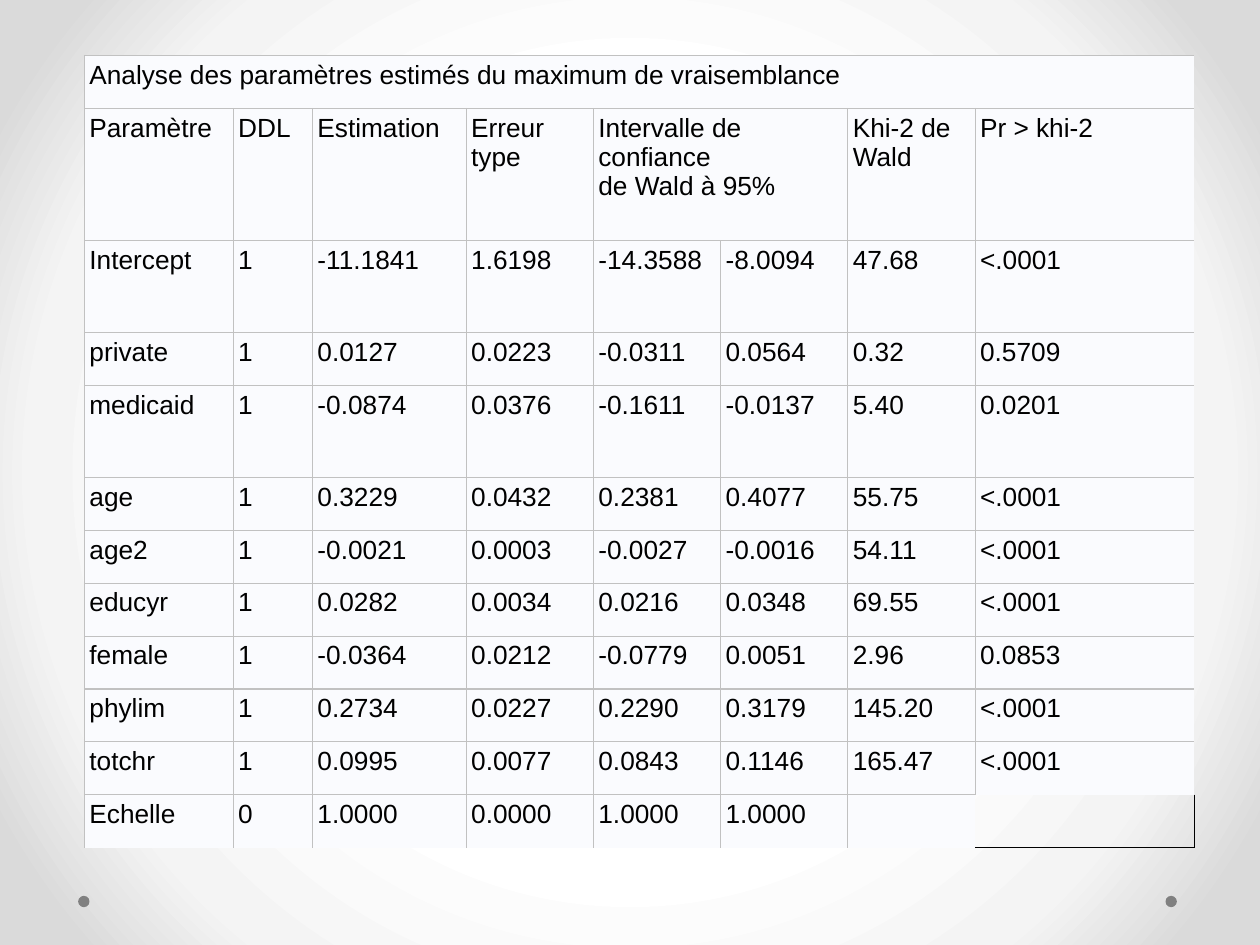
from lxml.etree import SubElement
from pptx import Presentation
from pptx.dml.color import RGBColor
from pptx.enum.shapes import MSO_SHAPE
from pptx.oxml import parse_xml
from pptx.oxml.ns import nsdecls, qn
from pptx.util import Inches, Pt

BLACK = RGBColor(0x00, 0x00, 0x00)
GRAY = RGBColor(0x80, 0x80, 0x80)
RULE = RGBColor(0xC1, 0xC1, 0xC1)
PALE = RGBColor(0xFA, 0xFB, 0xFE)
GLOW = (
    (50, RGBColor(0xFF, 0xFF, 0xFF)),
    (76, RGBColor(0xF4, 0xF4, 0xF4)),
    (92, RGBColor(0xDA, 0xDA, 0xDA)),
)

WIDTHS = (1.18, 0.63, 1.22, 1.01, 1.01, 1.01, 1.01, 1.74)
SHORT, MEDIUM, TALL = 0.42, 0.73, 1.05
HEIGHTS = (SHORT, TALL, MEDIUM, SHORT, MEDIUM) + (SHORT,) * 7
SPANS = {(0, 0): 8, (1, 4): 2}
ROWS = (
    ("Analyse des paramètres estimés du maximum de vraisemblance",) + ("",) * 7,
    ("Paramètre", "DDL", "Estimation", "Erreur\ntype",
     "Intervalle de confiance\nde Wald à 95%", "", "Khi-2 de Wald", "Pr > khi-2"),
    ("Intercept", "1", "-11.1841", "1.6198", "-14.3588", "-8.0094", "47.68", "<.0001"),
    ("private", "1", "0.0127", "0.0223", "-0.0311", "0.0564", "0.32", "0.5709"),
    ("medicaid", "1", "-0.0874", "0.0376", "-0.1611", "-0.0137", "5.40", "0.0201"),
    ("age", "1", "0.3229", "0.0432", "0.2381", "0.4077", "55.75", "<.0001"),
    ("age2", "1", "-0.0021", "0.0003", "-0.0027", "-0.0016", "54.11", "<.0001"),
    ("educyr", "1", "0.0282", "0.0034", "0.0216", "0.0348", "69.55", "<.0001"),
    ("female", "1", "-0.0364", "0.0212", "-0.0779", "0.0051", "2.96", "0.0853"),
    ("phylim", "1", "0.2734", "0.0227", "0.2290", "0.3179", "145.20", "<.0001"),
    ("totchr", "1", "0.0995", "0.0077", "0.0843", "0.1146", "165.47", "<.0001"),
    ("Echelle", "0", "1.0000", "0.0000", "1.0000", "1.0000", "", ""),
)


class SlideBuilder:
    """Holds the text style and the current slide, and adds each kind of element."""

    font_format = {"name": "Arial", "size": Pt(15)}
    margin_format = dict.fromkeys(
        ("margin_left", "margin_top", "margin_right", "margin_bottom"), Inches(0.04))

    def __init__(self, deck):
        self.page = deck.slides.add_slide(deck.slide_layouts[6])

    def background(self, stops):
        stop_xml = "".join(
            f'<a:gs pos="{place * 1000}"><a:srgbClr val="{color}"/></a:gs>'
            for place, color in stops)
        self.page.element.cSld.insert(0, parse_xml(
            f'<p:bg {nsdecls("p", "a")}><p:bgPr><a:gradFill rotWithShape="1">'
            f'<a:gsLst>{stop_xml}</a:gsLst><a:path path="circle">'
            '<a:fillToRect l="50000" t="50000" r="50000" b="50000"/></a:path>'
            '</a:gradFill><a:effectLst/></p:bgPr></p:bg>'))

    def dot(self, left, top, size):
        dot = self.page.shapes.add_shape(
            MSO_SHAPE.OVAL, Inches(left), Inches(top), Inches(size), Inches(size))
        dot.shadow.inherit = False
        dot.fill.solid()
        dot.fill.fore_color.rgb = GRAY
        dot.line.fill.background()

    def borders(self, cell, color, sides):
        properties = cell._tc.get_or_add_tcPr()
        for index, side in enumerate("LRTB"):
            line = SubElement(properties, qn(f"a:ln{side}"), w=str(Pt(0.75)))
            if side in sides:
                fill = SubElement(line, qn("a:solidFill"))
                SubElement(fill, qn("a:srgbClr"), val=str(color))
            else:
                SubElement(line, qn("a:noFill"))
            properties.insert(index, line)

    def cell_text(self, cell, text):
        for name, value in self.margin_format.items():
            setattr(cell, name, value)
        para = cell.text_frame.paragraphs[0]
        para.text = text
        for span in para.runs:
            for name, value in self.font_format.items():
                setattr(span.font, name, value)
            span.font.color.rgb = BLACK

    def table(self, left, top, widths, heights, rows, spans):
        table = self.page.shapes.add_table(
            len(heights), len(widths), Inches(left), Inches(top),
            Inches(sum(widths)), Inches(sum(heights))).table
        table.first_row = table.horz_banding = False
        for column, width in zip(table.columns, widths):
            column.width = Inches(width)
        for row, height in zip(table.rows, heights):
            row.height = Inches(height)
        for (y, x), count in spans.items():
            table.cell(y, x).merge(table.cell(y, x + count - 1))
        last_y, last_x = len(heights) - 1, len(widths) - 1
        for y, texts in enumerate(rows):
            for x, text in enumerate(texts):
                cell = table.cell(y, x)
                if cell.is_spanned:
                    continue
                self.cell_text(cell, text)
                if (y, x) == (last_y, last_x):
                    cell.fill.background()
                    self.borders(cell, BLACK, "RB")
                    continue
                cell.fill.solid()
                cell.fill.fore_color.rgb = PALE
                inner_right = x + spans.get((y, x), 1) <= last_x
                open_right = y == last_y and x == last_x - 1
                open_bottom = y == last_y or (y, x) == (last_y - 1, last_x)
                sides = "LT" + "R" * (inner_right and not open_right) + "B" * (not open_bottom)
                self.borders(cell, RULE, sides)


def main():
    deck = Presentation()
    deck.slide_width, deck.slide_height = Inches(10), Inches(7.5)
    builder = SlideBuilder(deck)
    builder.background(GLOW)
    for left in (9.25, 0.62):
        builder.dot(left, 7.11, 0.09)
    builder.table(0.67, 0.44, WIDTHS, HEIGHTS, ROWS, SPANS)
    deck.save("out.pptx")


if __name__ == "__main__":
    main()
